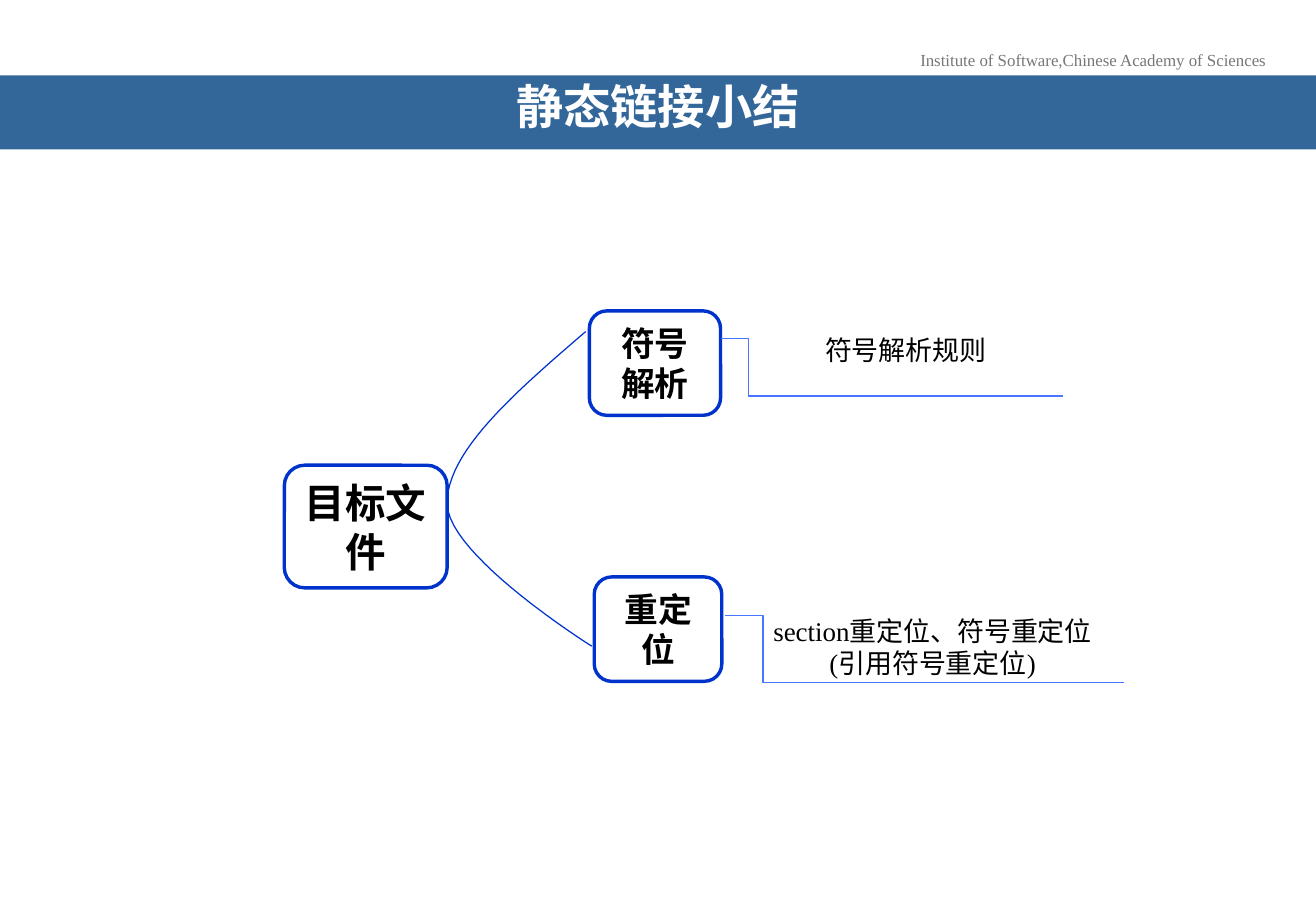
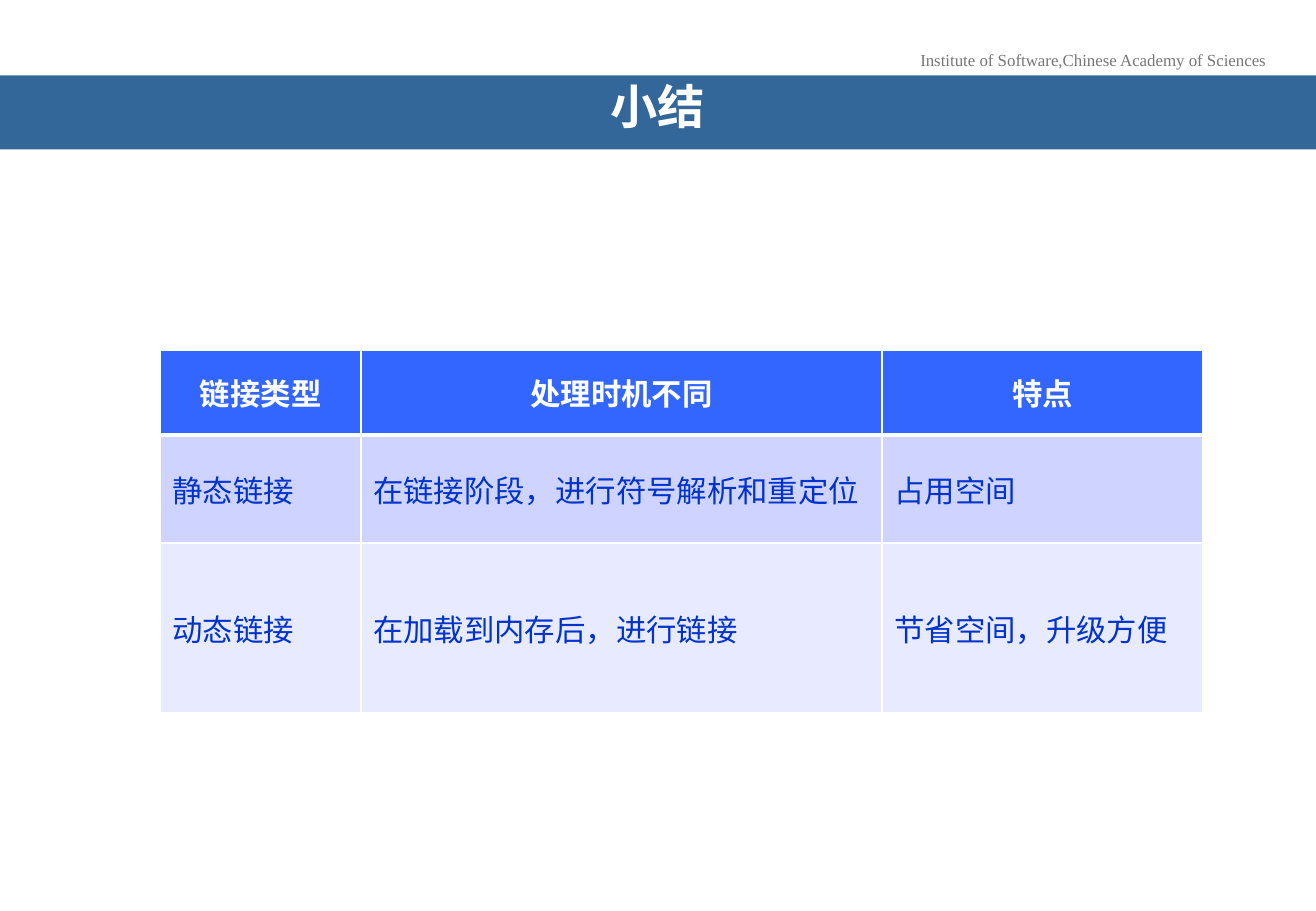
import lxml.etree
import pptx
import pptx.util
import pptx.dml.color
import pptx.enum.shapes
import pptx.enum.text
import pptx.oxml.ns

HUES = {"band": "336699", "white": "FFFFFF", "grey": "777777", "black": "000000",
        "blue": "0033CC", "link": "4775FF", "head": "3366FF", "odd": "CED3FF", "even": "E8EAFF"}
TIMES = "Times New Roman"
KIND = pptx.enum.shapes.MSO_SHAPE
MID = pptx.enum.text.MSO_ANCHOR.MIDDLE
ALIGN = pptx.enum.text.PP_ALIGN
tag = pptx.oxml.ns.qn

deck = pptx.Presentation()
deck.slide_width = pptx.util.Inches(10.83)
deck.slide_height = pptx.util.Inches(7.5)
UNIT = deck.slide_height / 75


def grid(*spans):
    return [round(span * UNIT) for span in spans]


def write(frame, text, size, font, hue, bold=False, align=ALIGN.CENTER):
    para = frame.paragraphs[0]
    para.alignment = align
    run = para.add_run()
    run.text = text
    run.font.size = pptx.util.Pt(size)
    run.font.name = font
    run.font.bold = bold
    run.font.color.rgb = pptx.dml.color.RGBColor.from_string(HUES[hue])
    return para


rgb = {name: pptx.dml.color.RGBColor.from_string(code) for name, code in HUES.items()}

pages = []
for title in ["静态链接小结", "小结"]:
    page = deck.slides.add_slide(deck.slide_layouts[6])
    pages.append(page)
    label = page.shapes.add_textbox(*grid(74.6, 3.6, 30.7, 2.7)).text_frame
    label.word_wrap = False
    write(label, "Institute of Software,Chinese Academy of Sciences", 10, TIMES, "grey")
    band = page.shapes.add_shape(KIND.RECTANGLE, *grid(0, 6.2, 108.3, 6.1))
    band.shadow.inherit = False
    band.fill.solid()
    band.fill.fore_color.rgb = rgb["band"]
    band.line.fill.background()
    band.text_frame.vertical_anchor = MID
    write(band.text_frame, title, 28, "Arial Narrow", "white", True).line_spacing = 0.7

tree, recap = pages

nodes = [
    ("符号解析", 20, (48.5, 25.6, 10.8, 8.6)),
    ("重定位", 20, (48.9, 47.5, 10.5, 8.6)),
    ("目标文件", 24, (23.4, 38.3, 13.4, 10.1)),
]
for text, size, place in nodes:
    node = tree.shapes.add_shape(KIND.ROUNDED_RECTANGLE, *grid(*place))
    node.shadow.inherit = False
    node.fill.solid()
    node.fill.fore_color.rgb = rgb["white"]
    node.line.color.rgb = rgb["blue"]
    node.line.width = pptx.util.Pt(2)
    node.text_frame.word_wrap = True
    node.text_frame.vertical_anchor = MID
    write(node.text_frame, text, size, "Arial", "black", True)

notes = [
    ("符号解析规则", (60.9, 27, 27.3, 3.7), (59.3, 27.9, 87.5, 32.6), 8100),
    ("section重定位、符号重定位(引用符号重定位)", (61.3, 50.1, 30.9, 6.4), (59.7, 50.7, 92.5, 56.2), 9400),
]
for text, place, ends, bend in notes:
    link = tree.shapes.add_connector(pptx.enum.shapes.MSO_CONNECTOR.ELBOW, *grid(*ends))
    link.line.color.rgb = rgb["link"]
    link.line.width = pptx.util.Pt(0.75)
    props = link._element.spPr
    lxml.etree.SubElement(props, tag("a:effectLst"))
    knobs = props.find(tag("a:prstGeom")).get_or_add_avLst()
    lxml.etree.SubElement(knobs, tag("a:gd"), name="adj1", fmla=f"val {bend}")
    note = tree.shapes.add_textbox(*grid(*place)).text_frame
    note.word_wrap = True
    write(note, text, 16, TIMES, "black")

arcs = [
    [(48.2, 27.3), (42.5, 32.2), (36.7, 37.2), (36.8, 41.5)],
    [(36.8, 41.5), (36.9, 45.8), (48.7, 53.2), (48.7, 53.2)],
]
STEPS = 24
dots = []
for arc in arcs:
    for step in range(1, STEPS + 1):
        t = step / STEPS
        parts = [(1 - t) ** 3, 3 * t * (1 - t) ** 2, 3 * t * t * (1 - t), t ** 3]
        dots.append(grid(*[sum(p * dot[axis] for p, dot in zip(parts, arc)) for axis in (0, 1)]))
pen = tree.shapes.build_freeform(*grid(*arcs[0][0]))
pen.add_line_segments(dots, close=False)
curve = pen.convert_to_shape()
curve.shadow.inherit = False
curve.fill.background()
curve.line.color.rgb = rgb["blue"]
curve.line.width = pptx.util.Pt(0.75)

rows = [
    ("链接类型", "处理时机不同", "特点"),
    ("静态链接", "在链接阶段，进行符号解析和重定位", "占用空间"),
    ("动态链接", "在加载到内存后，进行链接", "节省空间，升级方便"),
]
fills = ["head", "odd", "even"]
table = recap.shapes.add_table(3, 3, *grid(13.2, 28.8, 85.8, 29.9)).table
table.horz_banding = False
for col, wide in zip(table.columns, grid(16.5, 42.9, 26.4)):
    col.width = wide
for row, high in zip(table.rows, grid(7, 8.9, 14)):
    row.height = high
for r, texts in enumerate(rows):
    top = r == 0
    for c, text in enumerate(texts):
        cell = table.cell(r, c)
        props = cell._tc.get_or_add_tcPr()
        for side in "LRTB":
            thick = 3 if (r, side) in [(0, "B"), (1, "T")] else 1
            edge = lxml.etree.SubElement(props, tag(f"a:ln{side}"), w=str(pptx.util.Pt(thick)))
            paint = lxml.etree.SubElement(edge, tag("a:solidFill"))
            lxml.etree.SubElement(paint, tag("a:srgbClr"), val=HUES["white"])
        cell.fill.solid()
        cell.fill.fore_color.rgb = rgb[fills[r]]
        cell.vertical_anchor = MID
        write(cell.text_frame, text, 18, TIMES, "white" if top else "blue", top,
              ALIGN.CENTER if top else ALIGN.LEFT)

deck.save("out.pptx")
